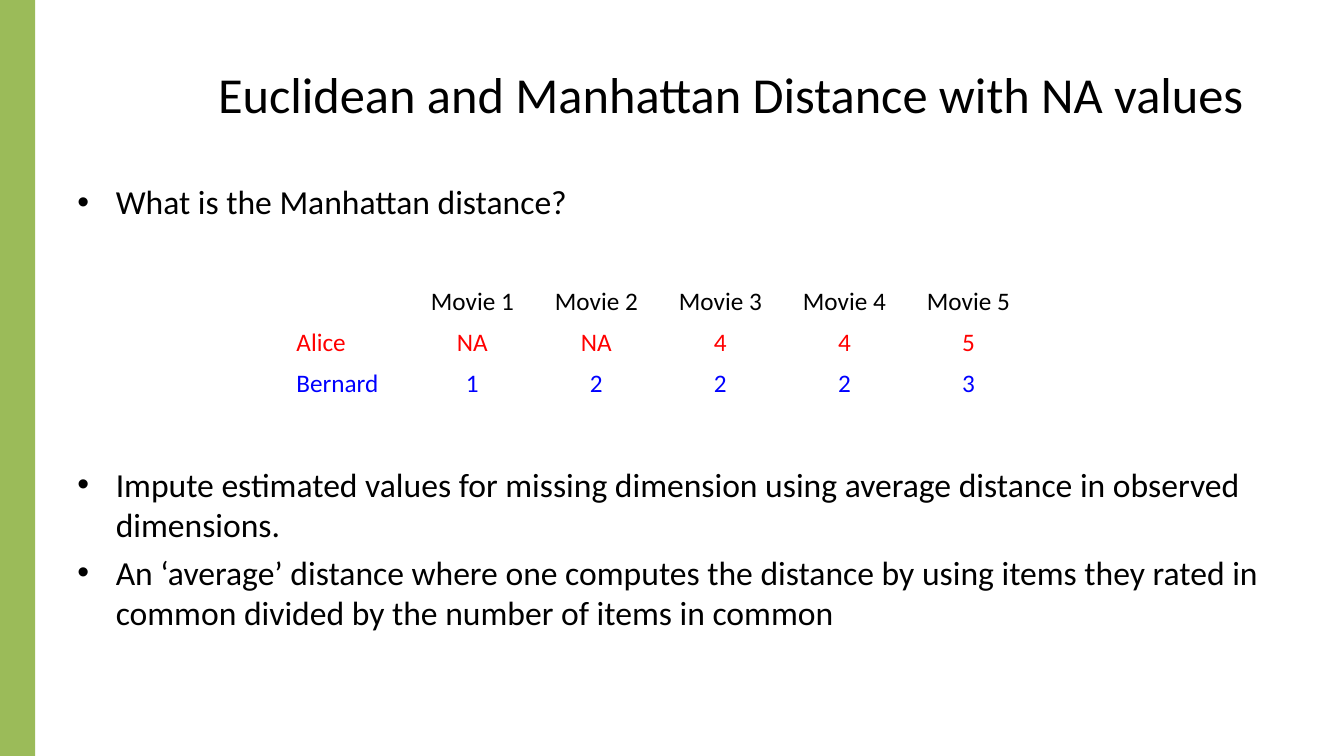
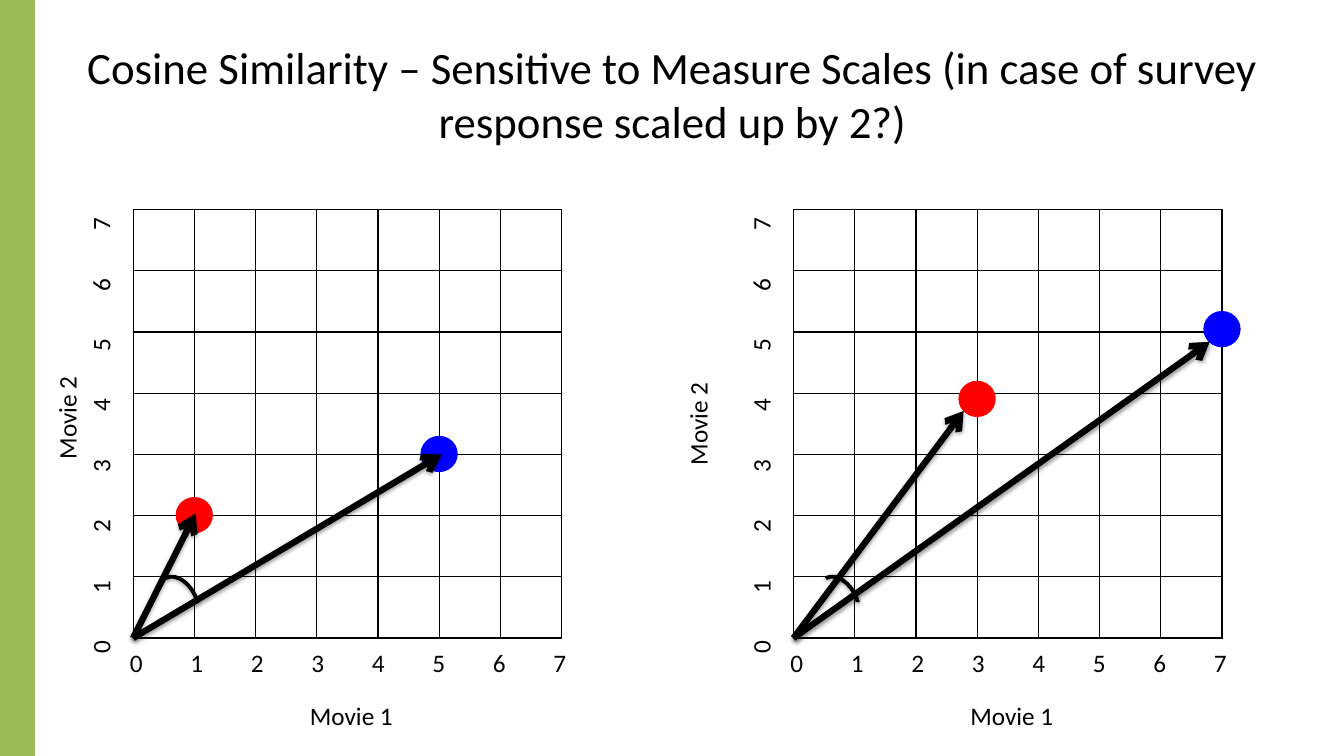
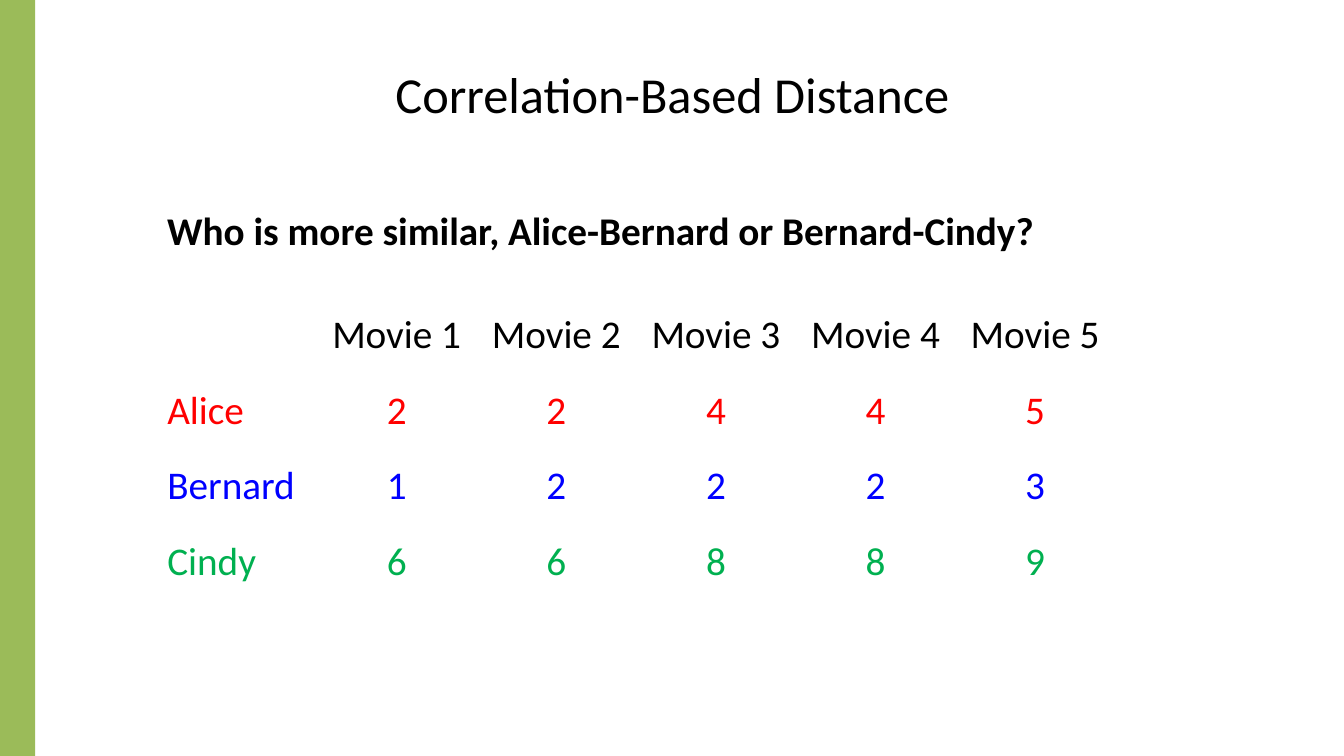
from lxml import etree
from pptx import Presentation
from pptx import util as u
from pptx.dml.color import RGBColor
from pptx.enum import shapes, text
from pptx.oxml import ns

BLACK = RGBColor(0x00, 0x00, 0x00)
RED = RGBColor(0xFF, 0x00, 0x00)
BLUE = RGBColor(0x00, 0x00, 0xFF)
GREEN = RGBColor(0x00, 0xB0, 0x50)
BAND = RGBColor(0x9B, 0xBB, 0x59)
FONT = "Calibri"
TITLE_ONLY = 5

GRID_COUNT = 7
GRID_SIZE = 4.25
GRID_TOP = 2.08
GRID_BOTTOM = GRID_TOP + GRID_SIZE
UNIT = GRID_SIZE / GRID_COUNT
TICK_STEP = 0.6

MOVIES = ["", "Movie 1", "Movie 2", "Movie 3", "Movie 4", "Movie 5"]


def box(*lengths):
    return [u.Inches(length) for length in lengths]


def sub(parent, tag, **attributes):
    """Append a DrawingML child element with the given attributes."""
    child = etree.SubElement(parent, ns.qn(tag))
    for name, value in attributes.items():
        child.set(name, str(value))
    return child


def write(paragraph, words, size=18, color=BLACK, bold=False, align=None):
    run = paragraph.add_run()
    run.text = words
    run.font.name = FONT
    run.font.size = u.Pt(size)
    run.font.color.rgb = color
    run.font.bold = bold
    paragraph.alignment = align


def add_text(slide, at, words, rotation=0, **style):
    label = slide.shapes.add_textbox(*box(*at))
    label.rotation = rotation
    label.text_frame.word_wrap = True
    write(label.text_frame.paragraphs[0], words, **style)
    return label


def add_solid(slide, kind, at, color, outline=None):
    solid = slide.shapes.add_shape(kind, *box(*at))
    solid.fill.solid()
    solid.fill.fore_color.rgb = color
    if outline:
        solid.line.color.rgb = color
        solid.line.width = u.Pt(outline)
    else:
        solid.line.fill.background()
    solid.shadow.inherit = False
    return solid


def add_shadow(properties, opacity, distance):
    """Give shape properties a soft shadow that falls straight down."""
    effects = properties.find(ns.qn("a:effectLst"))
    if effects is None:
        effects = sub(properties, "a:effectLst")
    outer = sub(effects, "a:outerShdw", blurRad=u.Pt(3.1), dist=u.Pt(distance),
                dir=90 * 60000, rotWithShape=0)
    sub(sub(outer, "a:srgbClr", val=BLACK), "a:alpha", val=opacity * 1000)


def new_slide(deck, title, title_at=(0.67, 0.3, 12, 1.25), size=36):
    slide = deck.slides.add_slide(deck.slide_layouts[TITLE_ONLY])
    heading = slide.shapes.title
    heading.left, heading.top, heading.width, heading.height = box(*title_at)
    frame = heading.text_frame
    frame.word_wrap = True
    frame.auto_size = text.MSO_AUTO_SIZE.NONE
    frame.vertical_anchor = text.MSO_ANCHOR.MIDDLE
    write(frame.paragraphs[0], title, size=size, align=text.PP_ALIGN.CENTER)
    add_solid(slide, shapes.MSO_SHAPE.RECTANGLE, (0, 0, 0.35, 7.5), BAND)
    return slide


def add_plain_table(slide, at, row_count, column_count):
    """Add a table of equal cells without banding or fill."""
    frame = slide.shapes.add_table(row_count, column_count, *box(*at))
    table = frame.table
    table.first_row = table.horz_banding = False
    for column in table.columns:
        column.width = u.Inches(at[2] / column_count)
    for row in table.rows:
        row.height = u.Inches(at[3] / row_count)
    for cell in table.iter_cells():
        cell.fill.background()
    return table


def add_ratings(slide, at, people, size):
    """Add the movie ratings, one coloured row for each person."""
    rows = [(BLACK, MOVIES)] + people
    table = add_plain_table(slide, at, len(rows), len(MOVIES))
    for row_index, (color, values) in enumerate(rows):
        for column_index, value in enumerate(values):
            if value:
                align = text.PP_ALIGN.CENTER if column_index else None
                cell = table.cell(row_index, column_index)
                write(cell.text_frame.paragraphs[0], value, size=size,
                      color=color, align=align)


def add_bullets(slide, at, bullets, size):
    """Add bullets given as pairs of text and space before in points."""
    frame = slide.shapes.add_textbox(*box(*at)).text_frame
    frame.word_wrap = True
    for index, (words, space_before) in enumerate(bullets):
        paragraph = frame.add_paragraph() if index else frame.paragraphs[0]
        write(paragraph, words, size=size)
        paragraph.space_before = u.Pt(space_before)
        properties = paragraph._p.get_or_add_pPr()
        properties.set("marL", str(u.Inches(0.38)))
        properties.set("indent", str(u.Inches(-0.38)))
        sub(properties, "a:buFont", typeface="Arial")
        sub(properties, "a:buChar", char="•")


def add_grid(slide, left):
    at = (left, GRID_TOP, GRID_SIZE, GRID_SIZE)
    table = add_plain_table(slide, at, GRID_COUNT, GRID_COUNT)
    for cell in table.iter_cells():
        properties = cell._tc.get_or_add_tcPr()
        for index, side in enumerate(("a:lnL", "a:lnR", "a:lnT", "a:lnB")):
            border = etree.Element(ns.qn(side), w=str(u.Pt(1)))
            sub(sub(border, "a:solidFill"), "a:srgbClr", val=BLACK)
            properties.insert(index, border)


def add_ticks(slide, at, rotation=0):
    digits = "\t".join(str(number) for number in range(GRID_COUNT + 1))
    ticks = add_text(slide, at, digits, rotation=rotation)
    properties = ticks.text_frame.paragraphs[0]._p.get_or_add_pPr()
    stops = sub(properties, "a:tabLst")
    for number in range(1, GRID_COUNT + 1):
        sub(stops, "a:tab", pos=u.Inches(number * TICK_STEP), algn="l")


def add_vector(slide, start, end):
    vector = slide.shapes.add_connector(
        shapes.MSO_CONNECTOR.STRAIGHT, *box(*start, *end))
    vector.line.color.rgb = BLACK
    vector.line.width = u.Pt(4.5)
    sub(vector.line._get_or_add_ln(), "a:tailEnd", type="arrow")
    add_shadow(vector._element.spPr, 38, 1.6)


def add_angle(slide, left):
    angle = add_solid(slide, shapes.MSO_SHAPE.BLOCK_ARC,
                      (left + 0.18, 5.78, 0.55, 0.36), BLACK, outline=0.75)
    angle.rotation = 59.8
    for index, value in enumerate((108, 181.52, 0.08)):
        angle.adjustments[index] = value
    add_shadow(angle._element.spPr, 35, 1.8)


def add_plot(slide, left, movie_2_at, ratings):
    """Plot ratings as (colour, dot, arrow tip), the places in grid units."""
    def place(point):
        return left + point[0] * UNIT, GRID_BOTTOM - point[1] * UNIT

    center = text.PP_ALIGN.CENTER
    add_grid(slide, left)
    add_ticks(slide, (left - 0.13, 6.37, 4.69, 0.4))
    add_ticks(slide, (left - 2.67, 4.04, 4.69, 0.4), rotation=270)
    add_text(slide, (left + 0.68, 6.9, 2.97, 0.41), "Movie 1", align=center)
    add_text(slide, (*movie_2_at, 2.97, 0.41), "Movie 2", rotation=270,
             align=center)
    for color, dot, _ in ratings:
        x, y = place(dot)
        add_solid(slide, shapes.MSO_SHAPE.OVAL,
                  (x - 0.18, y - 0.18, 0.36, 0.35), color, outline=0.75)
    for _, _, tip in ratings:
        add_vector(slide, place((0, 0)), place(tip))
    add_angle(slide, left)


def missing_values_slide(deck):
    slide = new_slide(deck, "Euclidean and Manhattan Distance with NA values",
                      title_at=(1.97, 0.3, 10.56, 1.25))
    add_bullets(slide, (0.67, 1.75, 12, 4.95), [
        ("What is the Manhattan distance?", 5),
        ("Impute estimated values for missing dimension using average "
         "distance in observed dimensions.", 173),
        ("An ‘average’ distance where one computes the distance by using "
         "items they rated in common divided by the number of items in "
         "common", 5),
    ], size=24)
    add_ratings(slide, (2.84, 2.79, 7.38, 1.22), [
        (RED, ["Alice", "NA", "NA", "4", "4", "5"]),
        (BLUE, ["Bernard", "1", "2", "2", "2", "3"]),
    ], size=18)


def cosine_slide(deck):
    slide = new_slide(deck, "Cosine Similarity – Sensitive to Measure Scales "
                      "(in case of survey response scaled up by 2?)", size=32)
    add_plot(slide, 1.32, (-0.82, 3.94), [
        (BLUE, (5, 3), (5.04, 3)),
        (RED, (1, 2), (1.02, 2.03)),
    ])
    add_plot(slide, 7.87, (5.44, 4), [
        (BLUE, (7, 5.04), (6.8, 4.84)),
        (RED, (3, 3.9), (2.78, 3.71)),
    ])


def correlation_slide(deck):
    slide = new_slide(deck, "Correlation-Based Distance")
    add_text(slide, (1.56, 2, 9.2, 0.57),
             "Who is more similar, Alice-Bernard or Bernard-Cindy?",
             size=28, bold=True)
    add_ratings(slide, (1.56, 3.04, 9.5, 3), [
        (RED, ["Alice", "2", "2", "4", "4", "5"]),
        (BLUE, ["Bernard", "1", "2", "2", "2", "3"]),
        (GREEN, ["Cindy", "6", "6", "8", "8", "9"]),
    ], size=28)


def main():
    deck = Presentation()
    deck.slide_width, deck.slide_height = box(13.33, 7.5)
    missing_values_slide(deck)
    cosine_slide(deck)
    correlation_slide(deck)
    deck.save("out.pptx")


if __name__ == "__main__":
    main()
